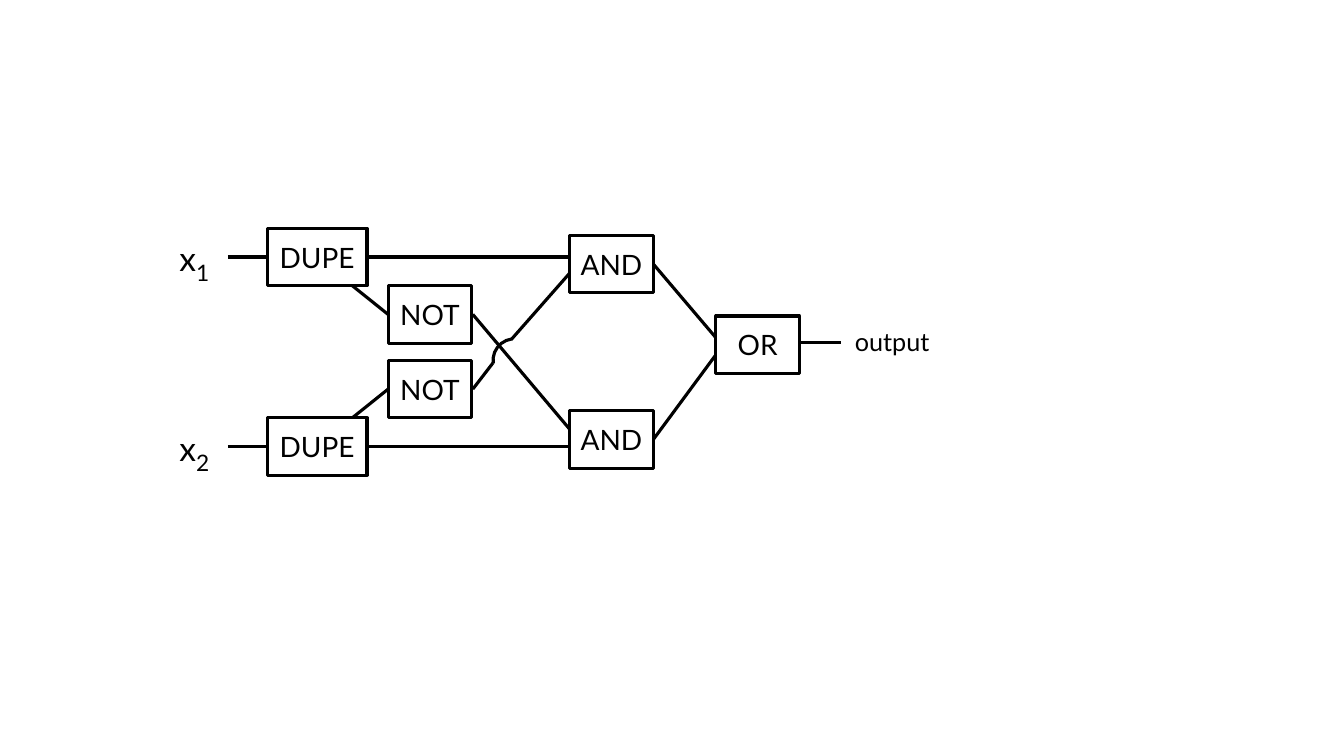
"""Build a slide with a XOR circuit made of DUPE, NOT, AND and OR gates."""
from lxml import etree
from pptx import Presentation
from pptx.dml.color import RGBColor
from pptx.enum.shapes import MSO_CONNECTOR, MSO_SHAPE
from pptx.enum.text import MSO_ANCHOR, PP_ALIGN
from pptx.oxml.ns import qn
from pptx.util import Inches, Pt

STRAIGHT = MSO_CONNECTOR.STRAIGHT
RECTANGLE, ARC = MSO_SHAPE.RECTANGLE, MSO_SHAPE.ARC
MIDDLE, TOP = MSO_ANCHOR.MIDDLE, MSO_ANCHOR.TOP
CENTER, LEFT = PP_ALIGN.CENTER, PP_ALIGN.LEFT

COLORS = {"ink": "000000", "paper": "FFFFFF"}
FONT = "Lato"
STROKE = 2.25
SLIDE_WIDTH, SLIDE_HEIGHT = 13.33, 7.5
GATE_HEIGHT = 0.57
AXIS = 3.49
OR_ROW = 3.42
INPUT_ROW, NOT_ROW, AND_ROW = 0.94, 0.37, 0.87

MIRRORED_GATES = [
    ("DUPE", 2.65, 0.99, INPUT_ROW),
    ("NOT", 3.85, 0.83, NOT_ROW),
    ("AND", 5.65, 0.83, AND_ROW),
]
OUTPUT_GATE = ("OR", 7.1, 0.83, OR_ROW)
MIRRORED_WIRES = [
    (2.26, INPUT_ROW, 6.37, INPUT_ROW),
    (3.14, INPUT_ROW, 3.85, NOT_ROW),
]
WIRES = [
    (4.69, AXIS - NOT_ROW, 5.66, 4.27),
    (4.69, AXIS + NOT_ROW, 4.89, 3.6),
    (5.07, 3.37, 5.65, 2.71),
    (6.48, AXIS - AND_ROW, 7.1, 3.35),
    (6.48, AXIS + AND_ROW, 7.1, 3.52),
    (7.94, 3.4, 8.34, 3.4),
]
CROSSING = {"left": 4.89, "top": 3.36, "size": 0.43, "turn": 262}
INPUTS = [("x", "1", -1), ("x", "2", 1)]
OUTPUT = ("output", 8.38, 3.19, 0.99, 0.4)

deck = Presentation()
deck.slide_width, deck.slide_height = Inches(SLIDE_WIDTH), Inches(SLIDE_HEIGHT)
slide = deck.slides.add_slide(deck.slide_layouts[6])


def color(name):
    return RGBColor.from_string(COLORS[name])


def write(frame, text, size, subscript="", subscript_size=28,
          align=LEFT, anchor=TOP, wrap=True):
    frame.word_wrap = wrap
    frame.vertical_anchor = anchor
    paragraph = frame.paragraphs[0]
    paragraph.alignment = align
    for part, points in ((text, size), (subscript, subscript_size)):
        if part:
            run = paragraph.add_run()
            run.text = part
            run.font.name, run.font.size = FONT, Pt(points)
            run.font.color.rgb = color("ink")
    if subscript:
        run.font._element.set("baseline", "-25000")


def outline(part):
    part.line.color.rgb = color("ink")
    part.line.width = Pt(STROKE)


def add_wire(*ends):
    wire = slide.shapes.add_connector(STRAIGHT, *map(Inches, ends))
    outline(wire)
    etree.SubElement(wire._element.spPr, qn("a:effectLst"))


def add_gate(label, left, width, middle):
    gate = slide.shapes.add_shape(
        RECTANGLE, Inches(left), Inches(middle - GATE_HEIGHT / 2),
        Inches(width), Inches(GATE_HEIGHT))
    gate.shadow.inherit = False
    gate.fill.solid()
    gate.fill.fore_color.rgb = color("paper")
    outline(gate)
    write(gate.text_frame, label, 20, align=CENTER, anchor=MIDDLE)


def add_label(text, left, top, width, height, size, **style):
    label = slide.shapes.add_textbox(*map(Inches, (left, top, width, height)))
    write(label.text_frame, text, size, **style)


for side in (-1, 1):
    for x1, row1, x2, row2 in MIRRORED_WIRES:
        add_wire(x1, AXIS + side * row1, x2, AXIS + side * row2)
for ends in WIRES:
    add_wire(*ends)

hop = slide.shapes.add_shape(
    ARC, Inches(CROSSING["left"]), Inches(CROSSING["top"]),
    Inches(CROSSING["size"]), Inches(CROSSING["size"]))
hop.rotation = CROSSING["turn"]
hop.shadow.inherit = False
hop.fill.background()
outline(hop)

for side in (-1, 1):
    for name, left, width, row in MIRRORED_GATES:
        add_gate(name, left, width, AXIS + side * row)
add_gate(*OUTPUT_GATE)

for letter, index, side in INPUTS:
    add_label(letter, 1.68, AXIS + side * INPUT_ROW - 0.29, 0.54, 0.5, 24,
              subscript=index, wrap=False)
add_label(*OUTPUT, 18)

deck.save("out.pptx")
